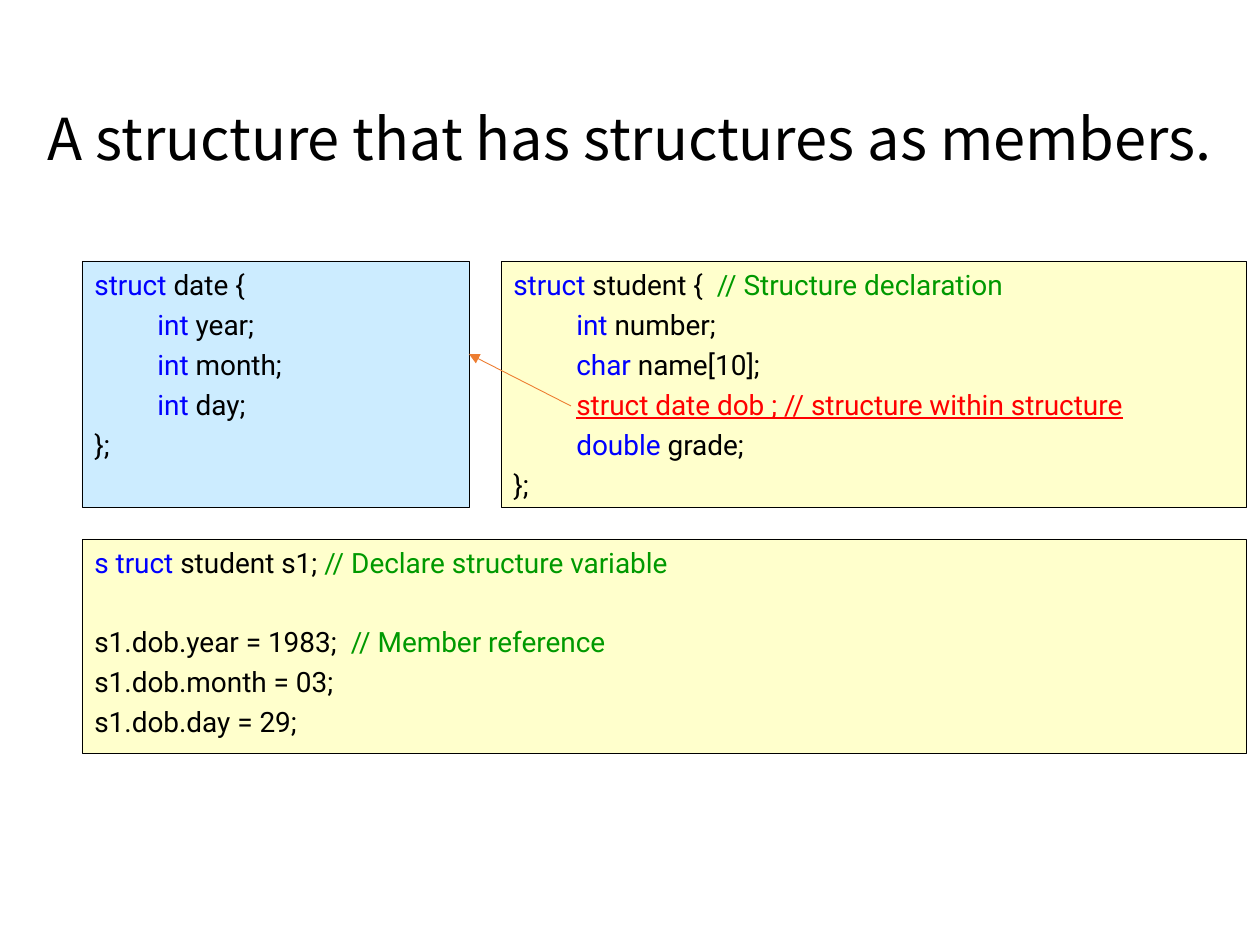
from lxml.etree import SubElement
from pptx import Presentation
from pptx.dml.color import RGBColor
from pptx.enum.shapes import MSO_CONNECTOR as LINK, MSO_SHAPE as SHAPE
from pptx.enum.text import MSO_ANCHOR as ANCHOR, MSO_AUTO_SIZE as FIT, PP_ALIGN as ALIGN
from pptx.oxml.ns import qn
from pptx.util import Pt

PX = 7257
BLACK = RGBColor(0x00, 0x00, 0x00)
BLUE = RGBColor(0x00, 0x00, 0xFF)
GREEN = RGBColor(0x00, 0x99, 0x00)
RED = RGBColor(0xFF, 0x00, 0x00)
ORANGE = RGBColor(0xED, 0x7D, 0x31)
SKY = RGBColor(0xCC, 0xEC, 0xFF)
CREAM = RGBColor(0xFF, 0xFF, 0xCC)

GAP = 3.7
BLANK = 22.4
HANG = 47
STEP = 63


def field(kind, name):
    return 1, [(kind + " ", BLUE), (name + ";", BLACK)]


END = (0, [("};", BLACK)])
DATE = [
    (0, [("struct ", BLUE), ("date {", BLACK)]),
    field("int", "year"),
    field("int", "month"),
    field("int", "day"),
    END,
]
STUDENT = [
    (0, [("struct ", BLUE), ("student {  ", BLACK), ("// Structure declaration", GREEN)]),
    field("int", "number"),
    field("char", "name[10]"),
    (1, [("struct date dob ; // structure within structure", RED)]),
    field("double", "grade"),
    END,
]
USAGE = [
    (0, [("s truct ", BLUE), ("student s1; ", BLACK), ("// Declare structure variable", GREEN)]),
    (0, [("s1.dob.year = 1983;  ", BLACK), ("// Member reference", GREEN)]),
    (0, [("s1.dob.month = 03;", BLACK)]),
    (0, [("s1.dob.day = 29;", BLACK)]),
]


def scale(*sizes):
    return [size * PX for size in sizes]


def add_title(slide, box, text):
    title = slide.shapes.title
    title.left, title.top, title.width, title.height = scale(*box)
    frame = title.text_frame
    frame.text = text
    frame.auto_size = FIT.NONE
    frame.vertical_anchor = ANCHOR.MIDDLE
    para = frame.paragraphs[0]
    para.alignment = ALIGN.LEFT
    para.line_spacing = 0.9
    font = para.runs[0].font
    font.name, font.size = "Noto Sans CJK KR", Pt(33)
    font.color.rgb = BLACK


def add_code(slide, box, fill, lines, breaks=()):
    panel = slide.shapes.add_shape(SHAPE.RECTANGLE, *scale(*box))
    panel.shadow.inherit = False
    panel.fill.solid()
    panel.fill.fore_color.rgb = fill
    panel.line.color.rgb = BLACK
    panel.line.width = Pt(0.25)
    frame = panel.text_frame
    frame.word_wrap = True
    frame.vertical_anchor = ANCHOR.TOP
    for row, (level, parts) in enumerate(lines):
        para = frame.add_paragraph() if row else frame.paragraphs[0]
        para.alignment = ALIGN.LEFT
        para.level = level
        if row:
            para.space_before = Pt(GAP + BLANK * (row in breaks))
        props = para._p.get_or_add_pPr()
        props.set("marL", str((HANG + level * STEP) * PX))
        props.set("indent", str(-HANG * PX))
        for text, color in parts:
            run = para.add_run()
            run.text = text
            font = run.font
            font.name, font.size = "Roboto", Pt(16)
            font.color.rgb = color
            font.underline = color == RED


def add_arrow(slide, start, end):
    arrow = slide.shapes.add_connector(LINK.STRAIGHT, *scale(*start, *end))
    arrow.line.color.rgb = ORANGE
    arrow.line.width = Pt(0.5)
    SubElement(arrow.line._get_or_add_ln(), qn("a:tailEnd"), type="triangle")
    SubElement(arrow._element.spPr, qn("a:effectLst"))


def main():
    deck = Presentation()
    deck.slide_width, deck.slide_height = scale(1260, 945)
    slide = deck.slides.add_slide(deck.slide_layouts[5])
    add_title(slide, (35, 50, 1191, 183), "A structure that has structures as members.")
    add_code(slide, (82, 261, 387, 246), SKY, DATE)
    add_code(slide, (501, 261, 745, 246), CREAM, STUDENT)
    add_code(slide, (82, 539, 1164, 214), CREAM, USAGE, breaks=(1,))
    add_arrow(slide, (571, 406), (469, 354))
    deck.save("out.pptx")


if __name__ == "__main__":
    main()
